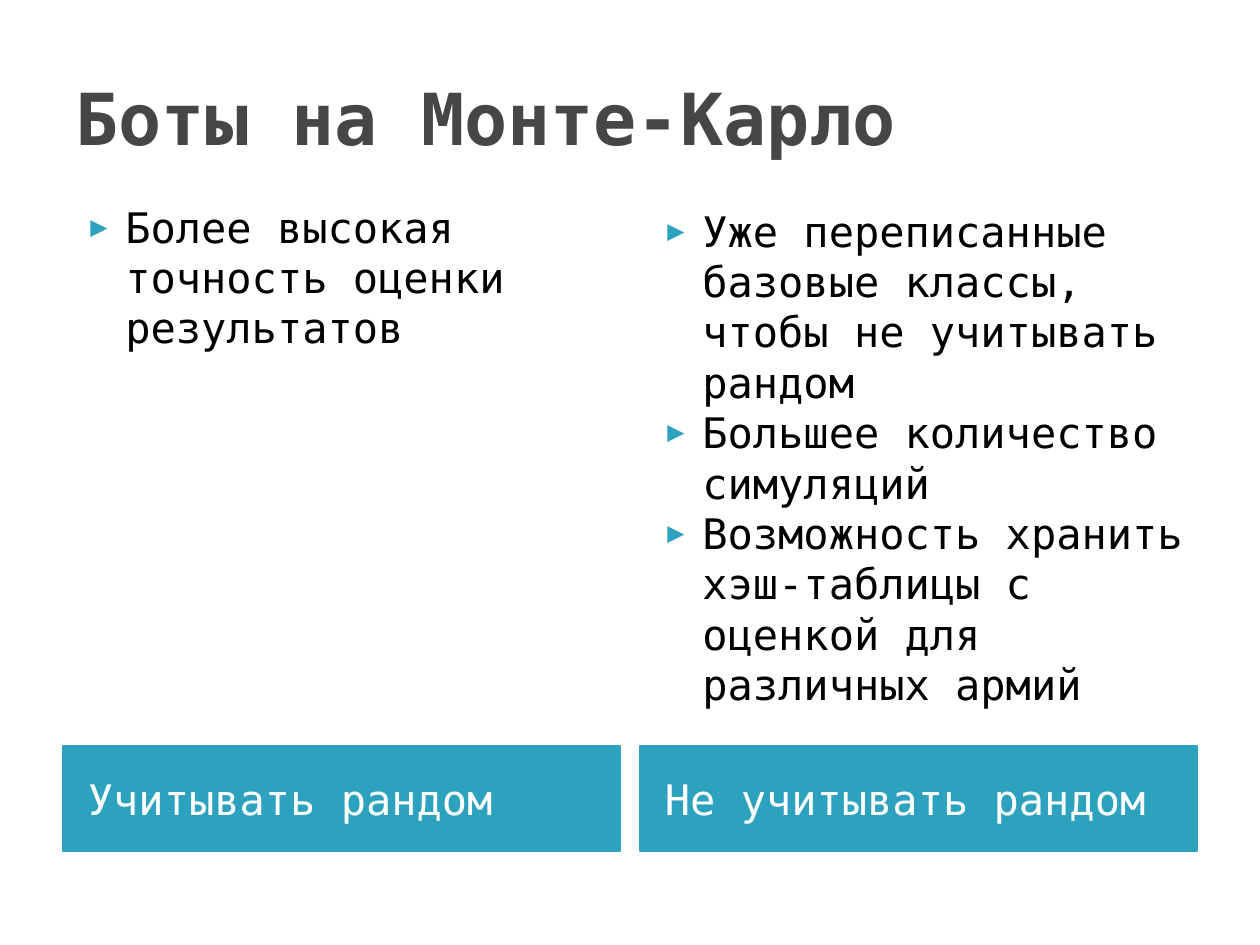
from lxml import etree
from pptx import Presentation
from pptx.dml.color import RGBColor
from pptx.enum.shapes import MSO_SHAPE
from pptx.enum.text import MSO_ANCHOR, MSO_AUTO_SIZE, PP_ALIGN
from pptx.oxml.ns import qn
from pptx.util import Emu, Pt

RECTANGLE = MSO_SHAPE.RECTANGLE
TOP, MIDDLE = MSO_ANCHOR.TOP, MSO_ANCHOR.MIDDLE
LEFT = PP_ALIGN.LEFT
NO_FIT = MSO_AUTO_SIZE.NONE
TITLE_ONLY = 5

TITLE = "Боты на Монте-Карло"
COLUMNS = [
    {
        "label": "Учитывать рандом",
        "points": ["Более высокая точность оценки результатов"],
        "top": 195,
        "space_before": 4,
    },
    {
        "label": "Не учитывать рандом",
        "points": [
            "Уже переписанные базовые классы, чтобы не учитывать рандом",
            "Большее количество симуляций",
            "Возможность хранить хэш-таблицы с оценкой для различных армий",
        ],
        "top": 199,
        "space_before": 0,
    },
]

FONT = "DejaVu Sans Mono"
COLORS = {"title": "464646", "accent": "2DA2BF", "label": "FFFFFF", "body": "000000"}
TITLE_SIZE, BODY_SIZE = 41, 24

SLIDE_WIDTH, SLIDE_HEIGHT = 1260, 945
MARGIN, GAP = 63, 20
CONTENT_WIDTH = SLIDE_WIDTH - 2 * MARGIN
COLUMN_WIDTH = (CONTENT_WIDTH - GAP) // 2
TITLE_TOP, TITLE_HEIGHT = 38, 157
POINTS_HEIGHT = 543
LABEL_TOP, LABEL_HEIGHT = 746, 105
LABEL_INSET = 25
BULLET_INDENT, BULLET_HANG = 50, 35


def px(pixels):
    """Turn pixels into EMU."""
    return Emu(round(pixels * 914400 / 126))


def color(name):
    """Look up a palette colour."""
    return RGBColor.from_string(COLORS[name])


def prepare_frame(shape, anchor):
    """Set wrapping and anchoring, and return the text frame."""
    frame = shape.text_frame
    frame.word_wrap = True
    frame.auto_size = NO_FIT
    frame.vertical_anchor = anchor
    return frame


def write(paragraph, text, size, color_name, space_before=0, bold=False):
    """Fill one left-aligned paragraph with a formatted run."""
    paragraph.alignment = LEFT
    paragraph.space_before = Pt(space_before)
    run = paragraph.add_run()
    run.text = text
    run.font.name = FONT
    run.font.size = Pt(size)
    run.font.bold = bold
    run.font.color.rgb = color(color_name)


def add_bullet(paragraph):
    """Give a paragraph a hanging triangle bullet."""
    properties = paragraph._p.get_or_add_pPr()
    properties.set("marL", str(px(BULLET_INDENT)))
    properties.set("indent", str(-px(BULLET_HANG)))
    bullet_color = etree.SubElement(properties, qn("a:buClr"))
    etree.SubElement(bullet_color, qn("a:srgbClr"), val=COLORS["accent"])
    etree.SubElement(properties, qn("a:buSzPct"), val="68000")
    etree.SubElement(properties, qn("a:buFont"), typeface=FONT)
    etree.SubElement(properties, qn("a:buChar"), char="▶")


def add_title(slide):
    """Place and format the title placeholder."""
    title = slide.shapes.title
    title.left, title.top = px(MARGIN), px(TITLE_TOP)
    title.width, title.height = px(CONTENT_WIDTH), px(TITLE_HEIGHT)
    frame = prepare_frame(title, MIDDLE)
    write(frame.paragraphs[0], TITLE, TITLE_SIZE, "title", bold=True)


def add_label(slide, left, text):
    """Add the coloured label under a column."""
    label = slide.shapes.add_shape(
        RECTANGLE, px(left), px(LABEL_TOP), px(COLUMN_WIDTH), px(LABEL_HEIGHT))
    label.shadow.inherit = False
    label.fill.solid()
    label.fill.fore_color.rgb = color("accent")
    label.line.color.rgb = color("accent")
    label.line.width = Pt(0.76)
    frame = prepare_frame(label, MIDDLE)
    frame.margin_left = px(LABEL_INSET)
    write(frame.paragraphs[0], text, BODY_SIZE, "label", space_before=4)


def add_points(slide, left, column):
    """Add the bulleted list of a column."""
    box = slide.shapes.add_textbox(
        px(left), px(column["top"]), px(COLUMN_WIDTH), px(POINTS_HEIGHT))
    frame = prepare_frame(box, TOP)
    for index, point in enumerate(column["points"]):
        paragraph = frame.add_paragraph() if index else frame.paragraphs[0]
        write(paragraph, point, BODY_SIZE, "body", column["space_before"])
        add_bullet(paragraph)


def main():
    """Build and save the slide."""
    presentation = Presentation()
    presentation.slide_width = px(SLIDE_WIDTH)
    presentation.slide_height = px(SLIDE_HEIGHT)
    slide = presentation.slides.add_slide(presentation.slide_layouts[TITLE_ONLY])
    add_title(slide)
    for index, column in enumerate(COLUMNS):
        left = MARGIN + index * (COLUMN_WIDTH + GAP)
        add_label(slide, left, column["label"])
        add_points(slide, left, column)
    presentation.save("out.pptx")


main()
